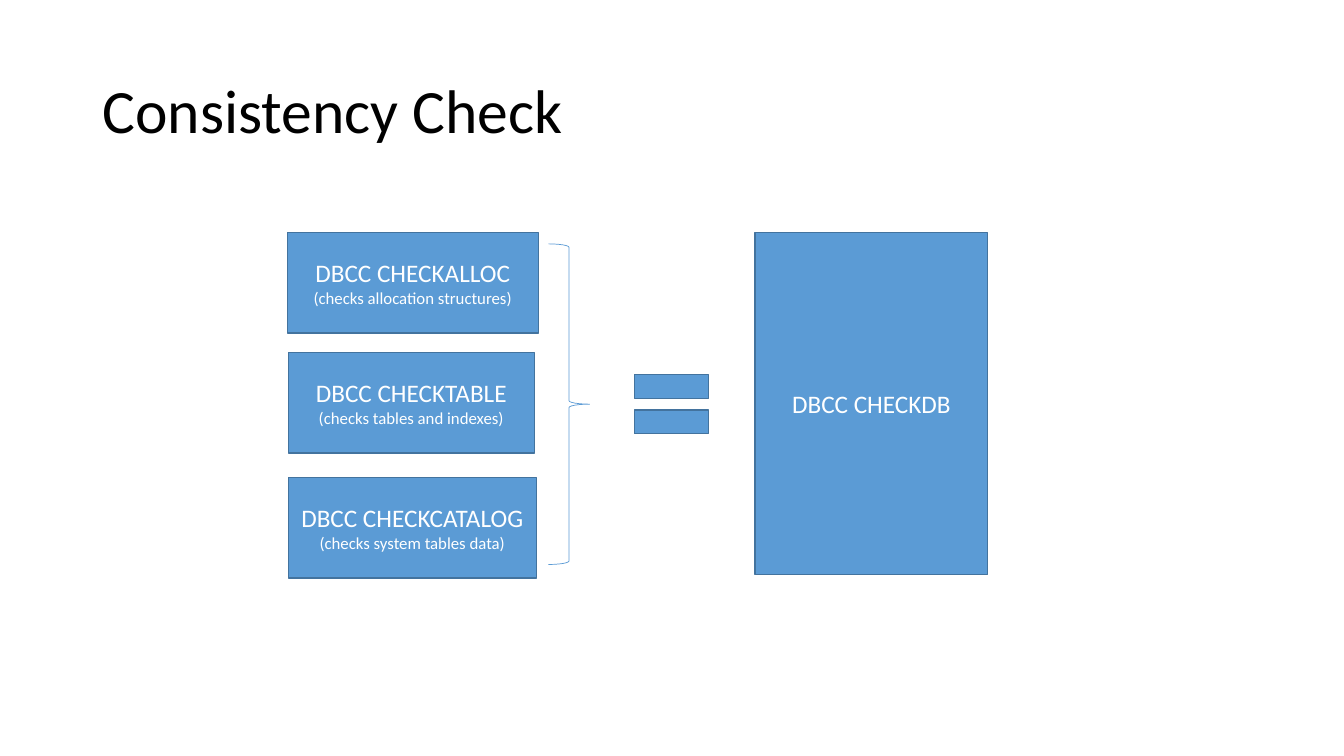
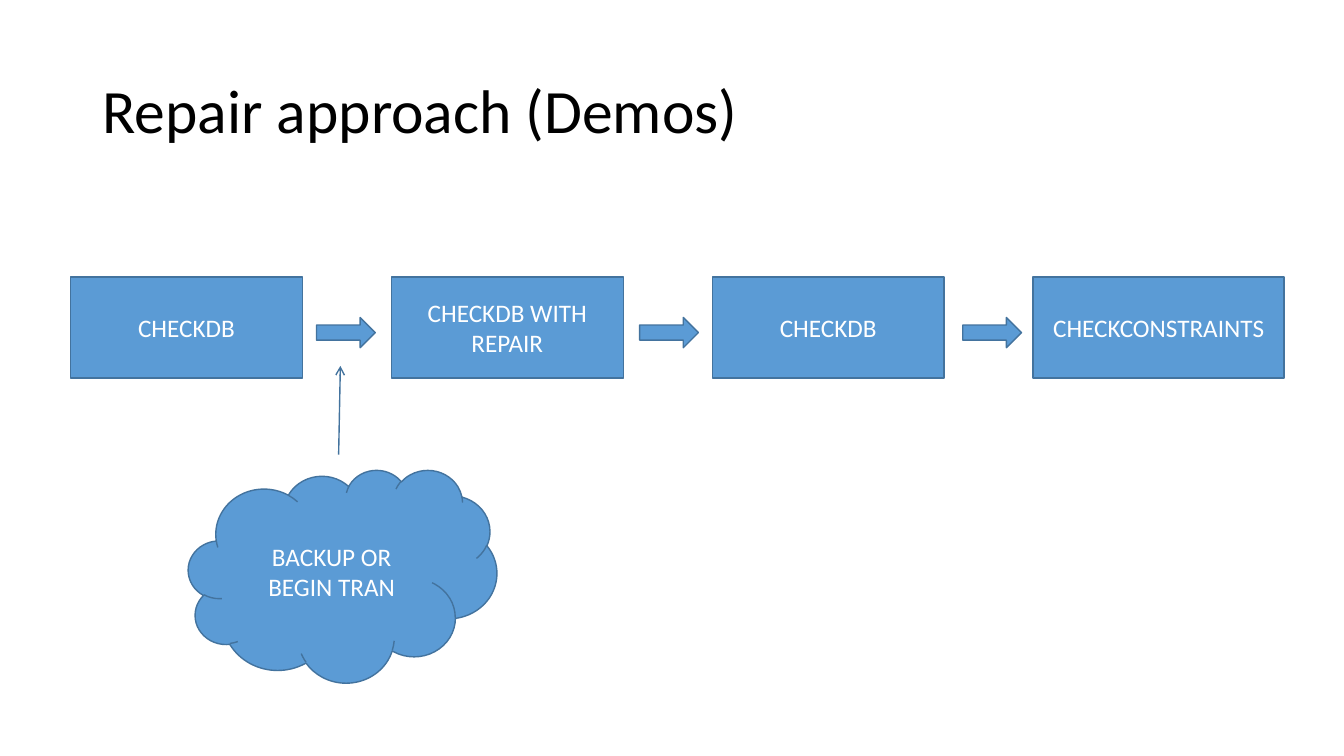
from lxml.etree import SubElement
from pptx import Presentation
from pptx.dml.color import RGBColor
from pptx.enum.shapes import MSO_CONNECTOR, MSO_SHAPE
from pptx.enum.text import MSO_ANCHOR, PP_ALIGN
from pptx.oxml.ns import qn
from pptx.util import Pt

BLUE = RGBColor(0x5B, 0x9B, 0xD5)
DARK_BLUE = RGBColor(0x43, 0x73, 0x9E)
WHITE = RGBColor(0xFF, 0xFF, 0xFF)
BLACK = RGBColor(0x00, 0x00, 0x00)
FONT = "Calibri"
TITLE_SIZE, LABEL_SIZE, NOTE_SIZE = 44, 18, 12

CHECKS = [
    ("DBCC CHECKALLOC", "(checks allocation structures)", 205.2, 166.3, 179.3),
    ("DBCC CHECKTABLE", "(checks tables and indexes)", 206, 252, 175.7),
    ("DBCC CHECKCATALOG", "(checks system tables data)", 206, 341.3, 177.1),
]
CHECK_HEIGHT = 71.5

STEPS = [
    ("CHECKDB", 165.6),
    ("CHECKDB WITH REPAIR", 165.6),
    ("CHECKDB", 165.6),
    ("CHECKCONSTRAINTS", 179.3),
]
STEP_LEFT, STEP_PITCH, STEP_TOP, STEP_HEIGHT = 50.4, 229.2, 198, 72
ARROW_LEFT, ARROW_PITCH, ARROW_TOP = 226.1, 230.8, 226.8


def points(*lengths):
    return [Pt(length) for length in lengths]


def add_run(paragraph, text, size, color):
    run = paragraph.add_run()
    run.text = text
    run.font.name = FONT
    run.font.size = Pt(size)
    run.font.color.rgb = color


def add_titled_slide(prs, title):
    slide = prs.slides.add_slide(prs.slide_layouts[6])
    title_box = slide.shapes.add_textbox(*points(66.2, 28.8, 828, 104.4))
    frame = title_box.text_frame
    frame.word_wrap = True
    frame.vertical_anchor = MSO_ANCHOR.MIDDLE
    heading = frame.paragraphs[0]
    heading.line_spacing = 0.9
    add_run(heading, title, TITLE_SIZE, BLACK)
    return slide


def add_figure(slide, kind, left, top, width, height):
    figure = slide.shapes.add_shape(kind, *points(left, top, width, height))
    figure.shadow.inherit = False
    figure.fill.solid()
    figure.fill.fore_color.rgb = BLUE
    figure.line.color.rgb = DARK_BLUE
    figure.line.width = Pt(1)
    return figure


def add_label(figure, label, note=None):
    frame = figure.text_frame
    frame.word_wrap = True
    frame.vertical_anchor = MSO_ANCHOR.MIDDLE
    heading = frame.paragraphs[0]
    heading.alignment = PP_ALIGN.CENTER
    for index, line in enumerate(label.split("\n")):
        if index:
            heading.add_line_break()
        add_run(heading, line, LABEL_SIZE, WHITE)
    if note:
        detail = frame.add_paragraph()
        detail.alignment = PP_ALIGN.CENTER
        add_run(detail, note, NOTE_SIZE, WHITE)


def add_box(slide, left, top, width, height, label, note=None):
    box = add_figure(slide, MSO_SHAPE.RECTANGLE, left, top, width, height)
    add_label(box, label, note)


def add_brace(slide, left, top, width, height):
    brace = add_figure(slide, MSO_SHAPE.RIGHT_BRACE, left, top, width, height)
    brace.fill.background()
    brace.line.color.rgb = BLUE
    brace.line.width = Pt(0.5)


def add_pointer(slide, start, end):
    pointer = slide.shapes.add_connector(
        MSO_CONNECTOR.STRAIGHT, *points(*start, *end))
    pointer.line.color.rgb = DARK_BLUE
    pointer.line.width = Pt(1)
    SubElement(pointer.line._get_or_add_ln(), qn("a:tailEnd"), type="arrow")
    SubElement(pointer._element.spPr, qn("a:effectLst"))


def build_consistency_check(prs):
    slide = add_titled_slide(prs, "Consistency Check")
    for label, note, left, top, width in CHECKS:
        add_box(slide, left, top, width, CHECK_HEIGHT, label, note)
    add_box(slide, 539.3, 166.3, 166.3, 244, "DBCC CHECKDB")
    add_figure(slide, MSO_SHAPE.MATH_EQUAL, 443.5, 252.7, 72, 72)
    add_brace(slide, 391.7, 174.2, 29.5, 229)


def build_repair_approach(prs):
    slide = add_titled_slide(prs, "Repair approach (Demos)")
    for index, (label, width) in enumerate(STEPS):
        add_box(slide, STEP_LEFT + index * STEP_PITCH, STEP_TOP,
                width, STEP_HEIGHT, label)
    for index in range(len(STEPS) - 1):
        add_figure(slide, MSO_SHAPE.RIGHT_ARROW,
                   ARROW_LEFT + index * ARROW_PITCH, ARROW_TOP, 42, 21.6)
    safeguard = add_figure(slide, MSO_SHAPE.CLOUD, 134.6, 335.5, 220.3, 152)
    add_label(safeguard, "BACKUP OR\nBEGIN TRAN")
    add_pointer(slide, (241.9, 324.7), (243.1, 261.4))


def main():
    prs = Presentation()
    prs.slide_width, prs.slide_height = points(960, 540)
    build_consistency_check(prs)
    build_repair_approach(prs)
    prs.save("out.pptx")


if __name__ == "__main__":
    main()
